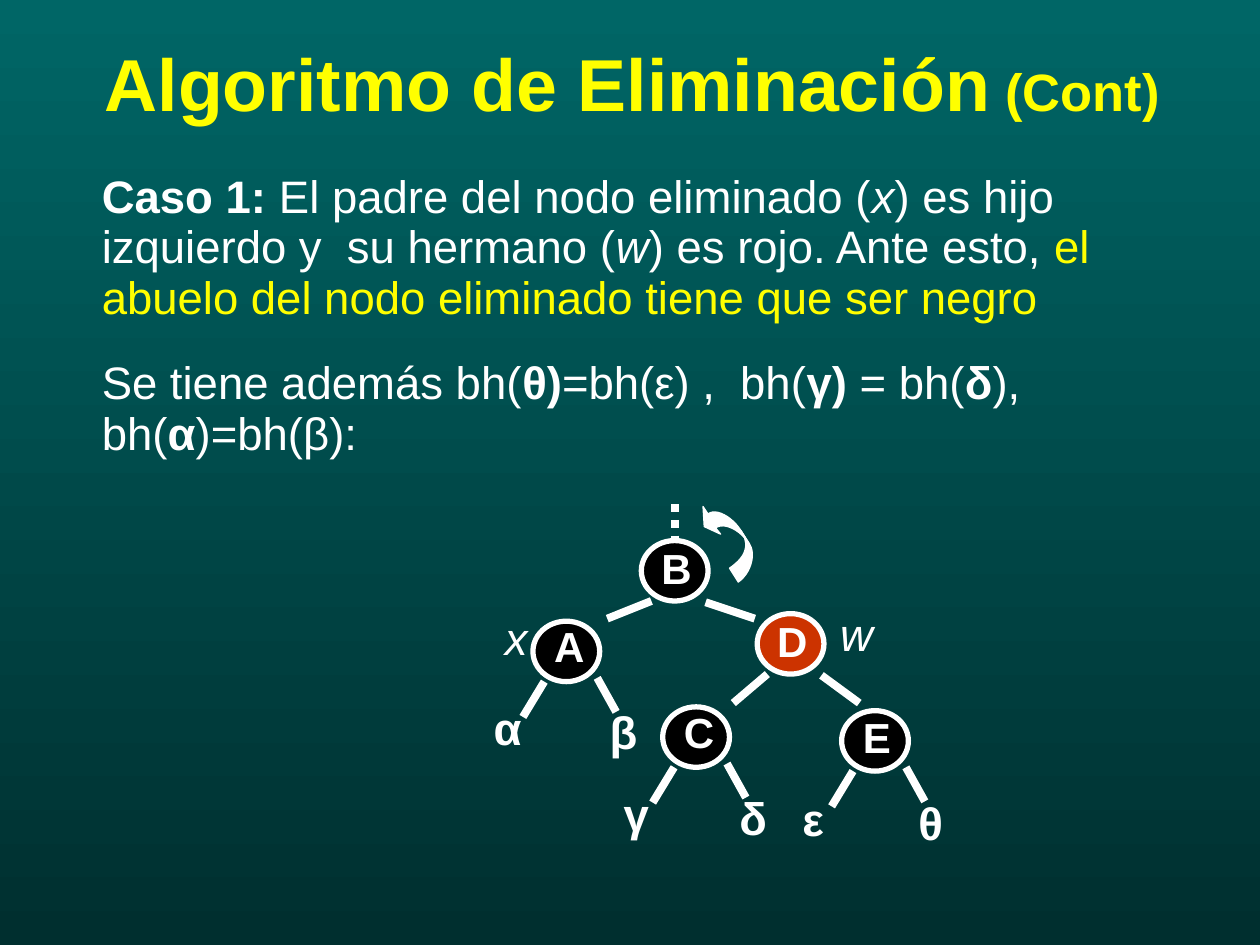
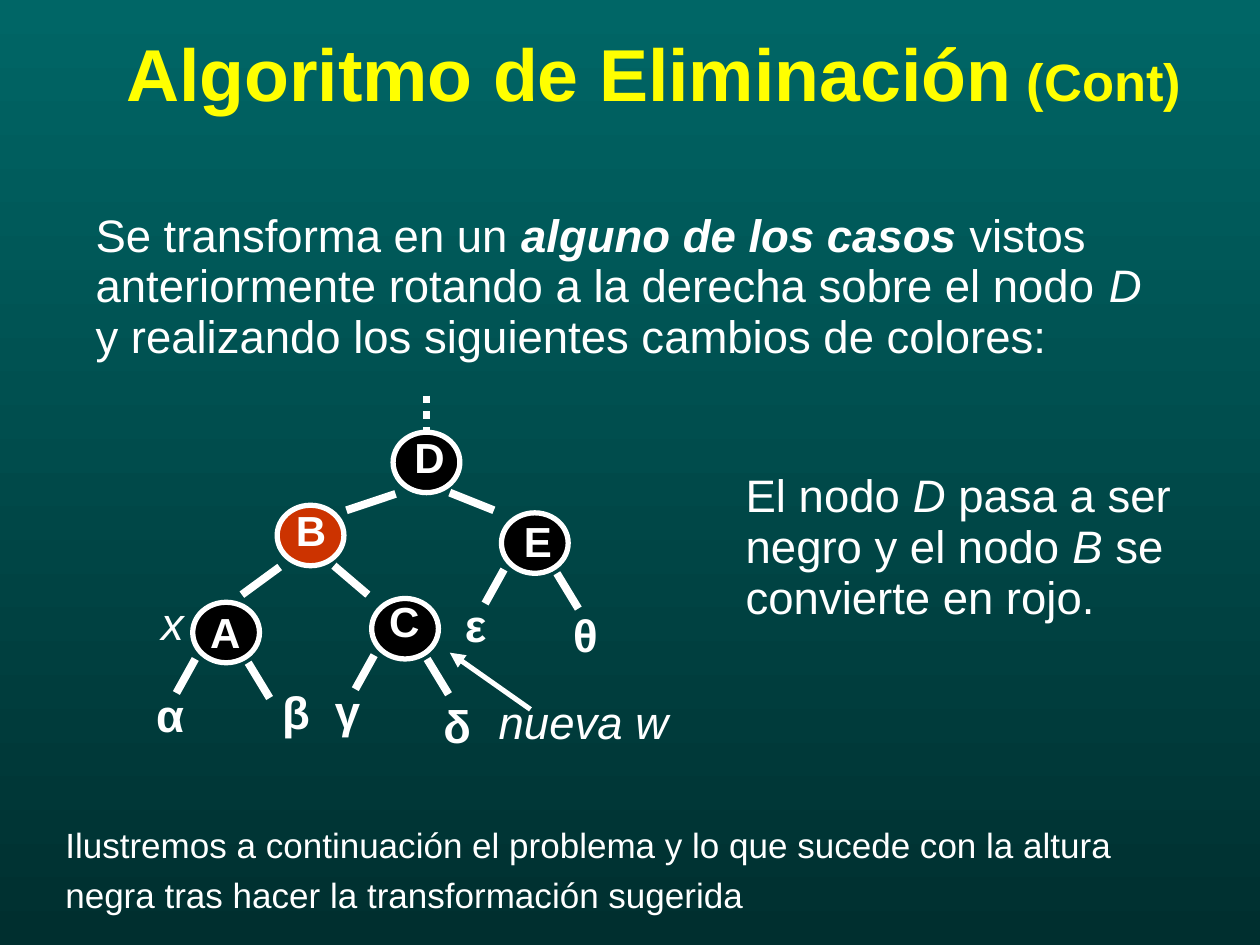
from lxml.etree import SubElement
from pptx import Presentation
from pptx.dml.color import RGBColor
from pptx.enum.dml import MSO_LINE
from pptx.enum.shapes import MSO_CONNECTOR, MSO_SHAPE
from pptx.enum.text import MSO_ANCHOR
from pptx.oxml.ns import qn
from pptx.util import Inches, Pt

TEAL = RGBColor(0x00, 0x66, 0x66)
DARK_TEAL = RGBColor(0x00, 0x2F, 0x2F)
YELLOW = RGBColor(0xFF, 0xFF, 0x00)
WHITE = RGBColor(0xFF, 0xFF, 0xFF)
BLACK = RGBColor(0x00, 0x00, 0x00)
RED = RGBColor(0xCC, 0x33, 0x00)

FONT = "Arial"
TREE_WIDTH = 2.98
NODE_WIDTH, NODE_HEIGHT = 0.53, 0.48

SLOTS = {
    "root": (0.86, 0.29),
    "inner": (1.78, 0.87),
    "outer": (2.45, 1.64),
    "middle": (1.03, 1.61),
    "side": (0, 0.93),
}
LEAF_EDGES = [(0.09, 0.48, -0.08, 0.76), (0.51, 0.45, 0.66, 0.72)]
EDGES = {
    "root": [(0.08, 0.48, -0.27, 0.62), (0.51, 0.49, 0.9, 0.62)],
    "inner": [(0.08, 0.48, -0.19, 0.71), (0.51, 0.49, 0.81, 0.71)],
    "outer": LEAF_EDGES,
    "middle": LEAF_EDGES,
    "side": LEAF_EDGES,
}

ARROW_BODY = [
    [(1.63, 0.62), (1.73, 0.55), (1.77, 0.4), (1.72, 0.32)],
    [(1.65, 0.21), (1.74, 0.35), (1.66, 0.44), (1.56, 0.51)],
]
ARROW_HEAD = [
    [(1.65, 0.21), (1.58, 0.1), (1.45, 0.03), (1.39, 0.08)],
    [(1.35, 0.02)], [(1.36, 0.18)], [(1.49, 0.24)],
    [(1.45, 0.19), (1.52, 0.14), (1.65, 0.21), (1.72, 0.32)],
]


def add_page(deck):
    page = deck.slides.add_slide(deck.slide_layouts[6])
    fill = page.background.fill
    fill.gradient()
    fill.gradient_angle = 270
    for stop, color in zip(fill.gradient_stops, (TEAL, DARK_TEAL)):
        stop.color.rgb = color
    return page


def add_text(page, left, top, width, height, paragraphs, size=26, color=WHITE,
             bold=False, italic=False, spacing=0.93, gap=0):
    box = page.shapes.add_textbox(*map(Inches, (left, top, width, height)))
    frame = box.text_frame
    frame.word_wrap = True
    for index, spans in enumerate(paragraphs):
        para = frame.paragraphs[0] if index == 0 else frame.add_paragraph()
        para.line_spacing = spacing
        if index:
            para.space_before = Pt(gap)
        font = para.font
        font.name, font.size, font.color.rgb = FONT, Pt(size), color
        font.bold, font.italic = bold, italic
        for text, style in spans:
            span = para.add_run()
            span.text = text
            if "b" in style:
                span.font.bold = True
            if "i" in style:
                span.font.italic = True
            if "y" in style:
                span.font.color.rgb = YELLOW
            if "s" in style:
                span.font.size = Pt(30)
    return box


def add_title(page, left, top, width):
    spans = [("Algoritmo de Eliminación", ""), (" (Cont)", "s")]
    box = add_text(page, left, top, width, 1.25, [spans], 42, YELLOW, bold=True, spacing=0.85)
    frame = box.text_frame
    frame.vertical_anchor = MSO_ANCHOR.MIDDLE
    frame.margin_left = frame.margin_right = frame.margin_top = frame.margin_bottom = 0


def add_line(page, x1, y1, x2, y2, weight=4.5, dash=None, arrow=False):
    line = page.shapes.add_connector(MSO_CONNECTOR.STRAIGHT, *map(Inches, (x1, y1, x2, y2)))
    line.line.color.rgb = WHITE
    line.line.width = Pt(weight)
    if dash:
        line.line.dash_style = dash
    if arrow:
        SubElement(line.line._get_or_add_ln(), qn("a:tailEnd"), type="triangle")
    SubElement(line._element.spPr, qn("a:effectLst"))


def paint(shape, fill, weight):
    shape.shadow.inherit = False
    shape.fill.solid()
    shape.fill.fore_color.rgb = fill
    shape.line.color.rgb = WHITE
    shape.line.width = Pt(weight)


def add_tree(page, left, top, nodes, leaves, marks, mirrored=False):
    def flip(x, width):
        return width - x if mirrored else x

    for slot, (letter, fill, letter_x, letter_y) in nodes.items():
        slot_x, slot_y = SLOTS[slot]
        x = left + flip(slot_x, TREE_WIDTH - NODE_WIDTH)
        y = top + slot_y
        if slot == "root":
            stem = x + NODE_WIDTH / 2
            add_line(page, stem, top, stem, y, dash=MSO_LINE.ROUND_DOT)
        for x1, y1, x2, y2 in EDGES[slot]:
            add_line(page, x + flip(x1, NODE_WIDTH), y + y1, x + flip(x2, NODE_WIDTH), y + y2)
        node = page.shapes.add_shape(
            MSO_SHAPE.OVAL, *map(Inches, (x, y, NODE_WIDTH, NODE_HEIGHT)))
        paint(node, fill, 3)
        add_text(page, left + letter_x, top + letter_y, 0.48, 0.47,
                 [[(letter, "")]], 24, bold=True)
    for symbol, x, y in leaves:
        add_text(page, left + x, top + y, 0.42, 0.54, [[(symbol, "")]], bold=True, spacing=1)
    for text, x, y, width in marks:
        add_text(page, left + x, top + y, width, 0.51, [[(text, "")]], italic=True)


def curve_points(points, steps=12):
    if len(points) == 1:
        return points
    return [
        tuple((1 - t) ** 3 * a + 3 * (1 - t) ** 2 * t * b + 3 * (1 - t) * t ** 2 * c + t ** 3 * d
              for a, b, c, d in zip(*points))
        for t in (step / steps for step in range(steps + 1))
    ]


def add_rotation_arrow(page, left, top):
    for part in (ARROW_BODY, ARROW_HEAD):
        outline = [(Inches(left + x), Inches(top + y))
                   for piece in part for x, y in curve_points(piece)]
        builder = page.shapes.build_freeform(*outline[0])
        builder.add_line_segments(outline[1:], close=True)
        paint(builder.convert_to_shape(), WHITE, 0.75)


def build_case_page(deck):
    page = add_page(deck)
    add_title(page, 0.83, 0.08, 8.69)
    case = [
        ("Caso 1:", "b"), (" El padre del nodo eliminado (", ""), ("x", "i"),
        (") es hijo izquierdo y  su hermano (", ""), ("w", "i"),
        (") es rojo. Ante esto, ", ""),
        ("el abuelo del nodo eliminado tiene que ser negro", "y"),
    ]
    heights = [
        ("Se tiene además bh(", ""), ("θ)", "b"), ("=bh(ε) ,  bh(", ""), ("γ)", "b"),
        (" = bh(", ""), ("δ", "b"), ("), bh(", ""), ("α", "b"), (")=bh(β):", ""),
    ]
    add_text(page, 0.71, 1.32, 9.04, 2.39, [case, heights], gap=19.5)
    left, top = 4.23, 4
    nodes = {
        "root": ("B", BLACK, 0.92, 0.29),
        "inner": ("D", RED, 1.84, 0.87),
        "outer": ("E", BLACK, 2.52, 1.63),
        "middle": ("C", BLACK, 1.1, 1.59),
        "side": ("A", BLACK, 0.07, 0.91),
    }
    leaves = [("α", -0.41, 1.51), ("β", 0.51, 1.54), ("γ", 0.62, 2.19),
              ("δ", 1.54, 2.22), ("ε", 2.04, 2.23), ("θ", 2.96, 2.26)]
    add_tree(page, left, top, nodes, leaves, [("x", -0.32, 0.83, 0.5), ("w", 2.34, 0.8, 0.58)])
    add_rotation_arrow(page, left, top)


def build_rotated_page(deck):
    page = add_page(deck)
    add_title(page, 1, 0, 8.72)
    add_text(page, 5.82, 3.7, 3.67, 1.31, [[
        ("El nodo ", ""), ("D", "i"), (" pasa a ser negro y el nodo ", ""),
        ("B", "i"), (" se convierte en rojo.", ""),
    ]])
    add_text(page, 0.66, 1.63, 8.71, 1.31, [[
        ("Se transforma en un ", ""), ("alguno de los casos ", "bi"),
        ("vistos anteriormente rotando a la derecha sobre el nodo ", ""), ("D", "i"),
        (" y realizando los siguientes cambios de colores:", ""),
    ]])
    left, top = 1.53, 3.14
    nodes = {
        "root": ("D", BLACK, 1.66, 0.27),
        "inner": ("B", RED, 0.72, 0.85),
        "outer": ("A", BLACK, 0.04, 1.66),
        "middle": ("C", BLACK, 1.46, 1.57),
        "side": ("E", BLACK, 2.53, 0.94),
    }
    leaves = [("α", -0.39, 2.26), ("β", 0.61, 2.24), ("γ", 1.03, 2.23),
              ("δ", 1.89, 2.35), ("ε", 2.06, 1.55), ("θ", 2.92, 1.63)]
    marks = [("x", -0.35, 1.57, 0.5), ("nueva w", 2.33, 2.36, 1.74)]
    add_tree(page, left, top, nodes, leaves, marks, mirrored=True)
    add_line(page, left + 2.68, top + 2.49, left + 2.04, top + 2.04, 2.89, arrow=True)
    add_text(page, 0.42, 6.42, 8.92, 0.84, [[
        ("Ilustremos a continuación el problema y lo que sucede con la altura "
         "negra tras hacer la transformación sugerida", ""),
    ]], 20, spacing=1.2)


def main():
    deck = Presentation()
    deck.slide_width, deck.slide_height = Inches(10), Inches(7.5)
    build_case_page(deck)
    build_rotated_page(deck)
    deck.save("out.pptx")


if __name__ == "__main__":
    main()
